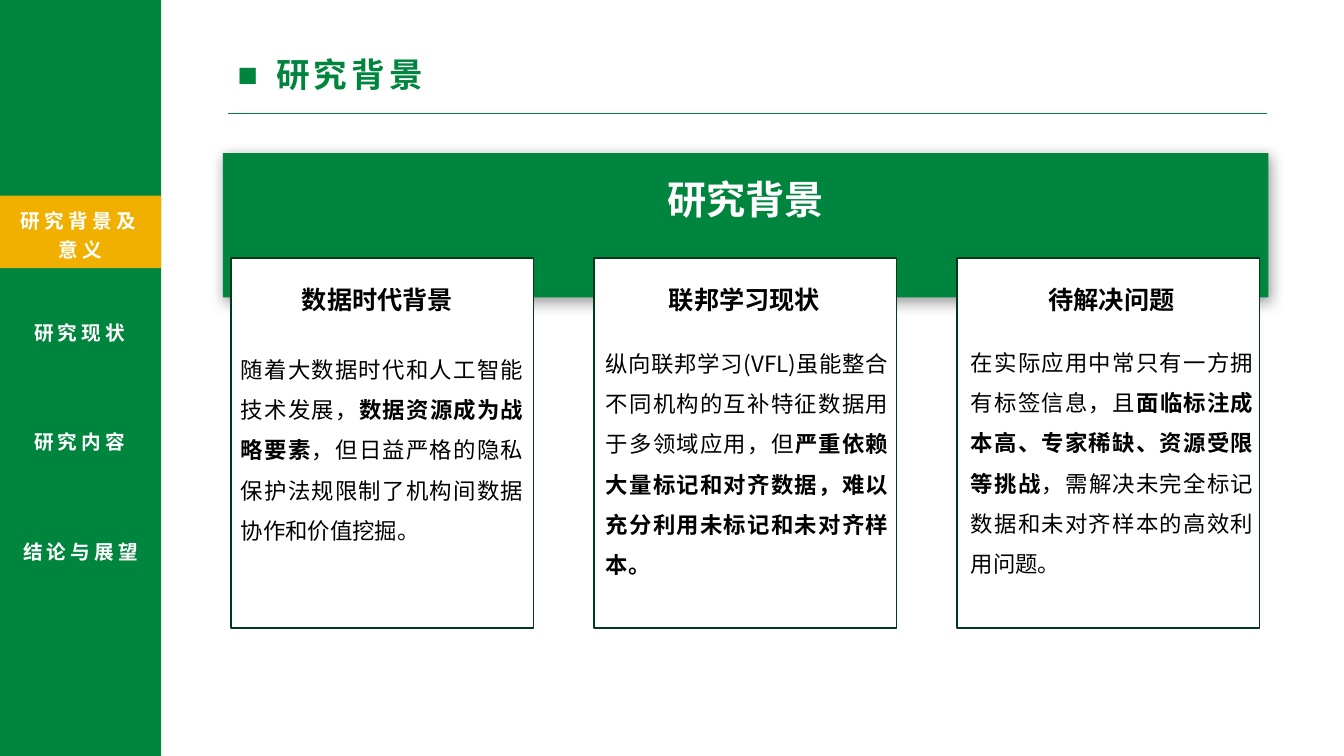
from lxml import etree
from pptx import Presentation
from pptx.dml.color import RGBColor
from pptx.enum.shapes import MSO_CONNECTOR, MSO_SHAPE
from pptx.enum.text import PP_ALIGN
from pptx.oxml.ns import qn
from pptx.util import Inches, Pt

RECT = MSO_SHAPE.RECTANGLE
LINE = MSO_CONNECTOR.STRAIGHT
LEFT, MID, JUST = PP_ALIGN.LEFT, PP_ALIGN.CENTER, PP_ALIGN.JUSTIFY
FONT = "Noto Sans CJK SC"
GREEN, GOLD, DARK = "00853E", "F1B000", "003A1B"
WHITE, BLACK = "FFFFFF", "000000"

WIDE, HIGH = 13.33, 7.5
SIDE = 1.6                      # width of the side bar
PANEL, SPAN = 2.21, 10.37       # left and width of the banner
COL, STEP, CARD = 2.29, 3.6, 3  # first card, pitch and card width

# label, left, top, width, height, alignment
MENU = [
    ("研究背景及意义", 0, 1.98, SIDE, 0.66, MID),
    ("研究现状", 0.24, 3.09, 1.24, 0.36, LEFT),
    ("研究内容", 0.24, 4.17, 1.24, 0.38, LEFT),
    ("结论与展望", 0, 5.26, SIDE, 0.38, MID),
]

# heading, top and height of the body, plain and bold parts in turn
CARDS = [
    ("数据时代背景", 3.35, 2.12,
     ["随着大数据时代和人工智能技术发展，", "数据资源成为战略要素",
      "，但日益严格的隐私保护法规限制了机构间数据协作和价值挖掘。"]),
    ("联邦学习现状", 3.29, 2.52,
     ["纵向联邦学习(VFL)虽能整合不同机构的互补特征数据用于多领域应用，但",
      "严重依赖大量标记和对齐数据，难以充分利用未标记和未对齐样本。"]),
    ("待解决问题", 3.28, 2.52,
     ["在实际应用中常只有一方拥有标签信息，且",
      "面临标注成本高、专家稀缺、资源受限等挑战",
      "，需解决未完全标记数据和未对齐样本的高效利用问题。"]),
]


def paint(hue):
    return RGBColor.from_string(hue)


def child(node, tag, **attrs):
    return etree.SubElement(node, qn(tag), {k: str(v) for k, v in attrs.items()})


def box(slide, x, y, w, h, fill, edge=None):
    shape = slide.shapes.add_shape(RECT, Inches(x), Inches(y), Inches(w), Inches(h))
    shape.shadow.inherit = False
    shape.fill.solid()
    shape.fill.fore_color.rgb = paint(fill)
    if edge:
        shape.line.color.rgb = paint(edge)
        shape.line.width = Pt(1)
    else:
        shape.line.fill.background()
    return shape


def shade(shape):
    """Give the shape a soft outer shadow."""
    list_ = shape._element.spPr.find(qn("a:effectLst"))
    cast = child(list_, "a:outerShdw", blurRad=Pt(10), dist=Pt(3),
                 dir=67 * 60000, algn="tl", rotWithShape=0)
    tint = child(cast, "a:srgbClr", val=BLACK)
    child(tint, "a:alpha", val=40000)


def style(run, size, hue, bold, gap):
    run.font.size = Pt(size)
    run.font.bold = bold
    run.font.name = FONT
    run.font.color.rgb = paint(hue)
    props = run._r.get_or_add_rPr()
    child(props, "a:ea", typeface=FONT)
    if gap:
        props.set("spc", str(gap * 100))


def label(slide, x, y, w, h, parts, size, hue, bold=True, align=LEFT,
          space=None, gap=0):
    """Add a text box; each further part flips between bold and plain."""
    area = slide.shapes.add_textbox(Inches(x), Inches(y), Inches(w), Inches(h))
    frame = area.text_frame
    frame.word_wrap = True
    para = frame.paragraphs[0]
    para.alignment = align
    if space:
        para.line_spacing = space
    for i, part in enumerate(parts):
        run = para.add_run()
        run.text = part
        style(run, size, hue, bold ^ (i % 2 == 1), gap)
    return para


def bullet(para, mark, indent):
    props = para._p.get_or_add_pPr()
    props.set("marL", str(Inches(indent)))
    props.set("indent", str(-Inches(indent)))
    child(props, "a:buFont", typeface="Arial")
    child(props, "a:buChar", char=mark)


def rule(slide, x, y, end):
    line = slide.shapes.add_connector(LINE, Inches(x), Inches(y), Inches(end), Inches(y))
    line.line.color.rgb = paint(GREEN)
    line.line.width = Pt(0.5)
    child(line._element.spPr, "a:effectLst")


def header(slide):
    rule(slide, 2.26, 1.12, 12.57)
    para = label(slide, 2.26, 0.49, 8.57, 0.5, ["研究背景"], 24, GREEN, gap=3)
    bullet(para, "■", 0.38)


def sidebar(slide):
    box(slide, 0, 0, SIDE, HIGH, GREEN)
    box(slide, 0, 1.94, SIDE, 0.72, GOLD)
    for name, x, y, w, h, align in MENU:
        label(slide, x, y, w, h, [name], 14, WHITE, align=align, space=1.2, gap=3)


def panel(slide):
    shade(box(slide, PANEL, 1.52, SPAN, 1.43, GREEN))
    label(slide, PANEL, 1.69, SPAN, 0.57, ["研究背景"], 28, WHITE, align=MID)
    for i, (head, top, tall, parts) in enumerate(CARDS):
        x = COL + i * STEP
        box(slide, x, 2.56, CARD, 3.67, WHITE, DARK)
        label(slide, 2.48 + i * 3.64, 2.77, 2.53, 0.4, [head], 18, BLACK, align=MID)
        label(slide, x + i * 0.02, top, CARD, tall, parts, 16, BLACK,
              bold=False, align=JUST, space=1.5)


def main():
    deck = Presentation()
    deck.slide_width, deck.slide_height = Inches(WIDE), Inches(HIGH)
    slide = deck.slides.add_slide(deck.slide_layouts[6])
    header(slide)
    sidebar(slide)
    panel(slide)
    deck.save("out.pptx")


if __name__ == "__main__":
    main()
